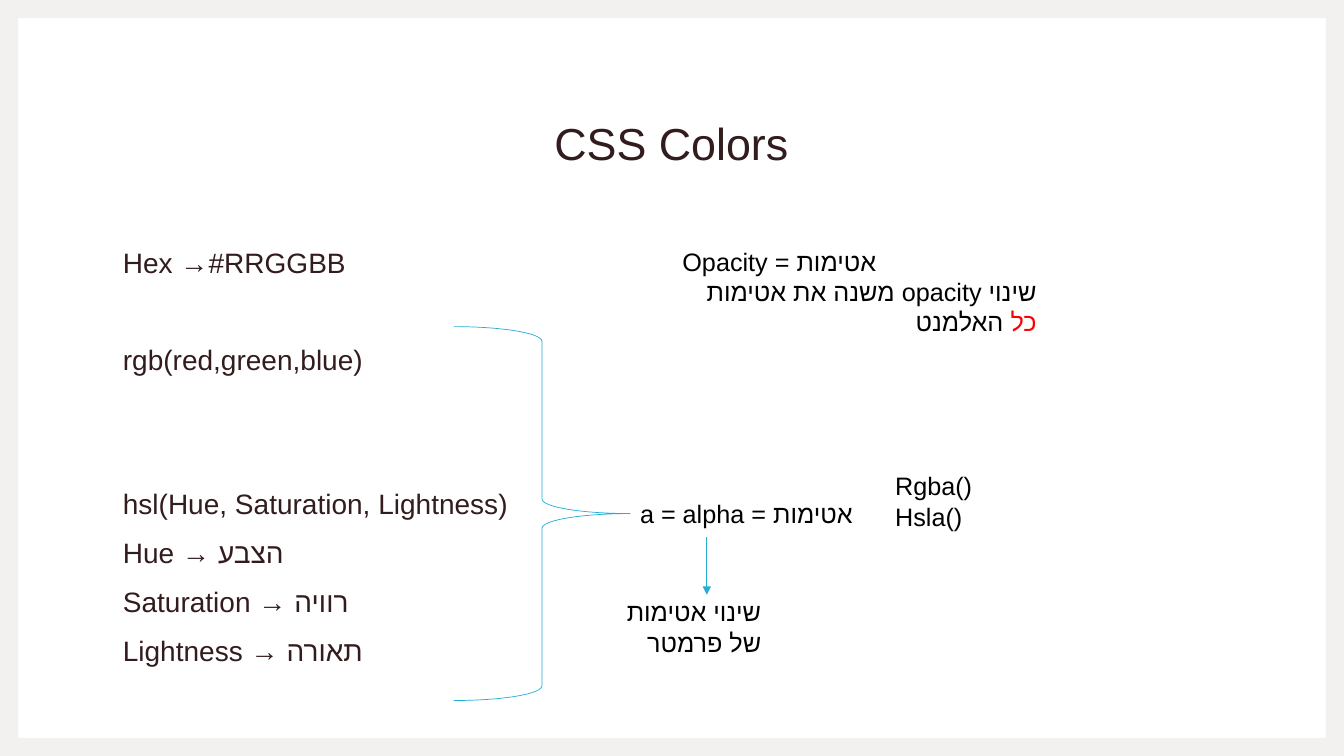
from pptx import Presentation, util as u
from pptx.dml.color import RGBColor
from pptx.enum import shapes, text
from pptx.oxml.ns import qn
from lxml import etree

THEME = {
    "font": "Arial", "title": 32, "body": 20, "note": 18, "line": 0.5,
    "frame": RGBColor.from_string("F3F1F0"),
    "dark": RGBColor.from_string("321C1D"),
    "black": RGBColor.from_string("000000"),
    "red": RGBColor.from_string("FF0000"),
    "accent": RGBColor.from_string("25AED2"),
}
WIDTH, HEIGHT = 13.33, 7.5


def style(p, size, color, rtl=False):
    p.font.name = THEME["font"]
    p.font.size = u.Pt(THEME[size])
    p.font.color.rgb = THEME[color]
    pPr = p._p.get_or_add_pPr()
    cs = etree.SubElement(pPr.find(qn("a:defRPr")), qn("a:cs"))
    cs.set("typeface", THEME["font"])
    if rtl:
        p.alignment = text.PP_ALIGN.RIGHT
        pPr.set("rtl", "1")


def add_text(left, top, width, height, right_inset, lines, size, color):
    sp = s.shapes.add_textbox(*map(u.Inches, (left, top, width, height)))
    tf = sp.text_frame
    tf.word_wrap = True
    tf.margin_right = u.Inches(right_inset)
    for i, (line, rtl) in enumerate(lines):
        p = tf.add_paragraph() if i else tf.paragraphs[0]
        for words, run_color in line:
            r = p.add_run()
            r.text = words
            if run_color:
                r.font.color.rgb = THEME[run_color]
        style(p, size, color, rtl)
    return tf


prs = Presentation()
prs.slide_width, prs.slide_height = u.Inches(WIDTH), u.Inches(HEIGHT)
s = prs.slides.add_slide(prs.slide_layouts[5])

frame = s.shapes.add_shape(shapes.MSO_SHAPE.FRAME, 0, 0, prs.slide_width, prs.slide_height)
frame.adjustments[0] = 0.18 / HEIGHT
frame.shadow.inherit = False
frame.fill.solid()
frame.fill.fore_color.rgb = THEME["frame"]
frame.line.fill.background()
s.shapes._spTree.insert(2, frame._element)

title = s.shapes.title
title.left, title.top, title.width, title.height = map(u.Inches, (1.12, 0.79, 11.08, 0.94))
tf = title.text_frame
tf.text = "CSS Colors"
tf.vertical_anchor = text.MSO_ANCHOR.BOTTOM
p = tf.paragraphs[0]
p.alignment = text.PP_ALIGN.CENTER
p.line_spacing = 1.1
style(p, "title", "dark")

GAP, ROW = 11, 34
formats = [
    ("Hex →#RRGGBB", 0),
    ("rgb(red,green,blue)", 1),
    ("hsl(Hue, Saturation, Lightness)", 2),
    ("Hue → הצבע", 0),
    ("Saturation → רוויה", 0),
    ("Lightness → תאורה", 0),
]
lines = [([(words, None)], False) for words, _ in formats]
tf = add_text(1.12, 2.39, 11.08, 4.34, 0.1, lines, "body", "dark")
for p, (_, skipped) in list(zip(tf.paragraphs, formats))[1:]:
    p.space_before = u.Pt(GAP + ROW * skipped)

brace = s.shapes.add_shape(shapes.MSO_SHAPE.RIGHT_BRACE, *map(u.Inches, (4.5, 3.24, 1.75, 3.71)))
brace.shadow.inherit = False
brace.fill.background()

notes = [
    (6.25, 4.89, 2.27, 0.4, 0, [([("a = alpha = אטימות", None)], False)]),
    (8.78, 4.62, 0.97, 0.71, 0, [([("Rgba()", None)], False), ([("Hsla()", None)], False)]),
    (6.67, 2.39, 4.52, 0.71, 0.91, [
        ([("Opacity = אטימות", None)], False),
        ([("שינוי opacity משנה את אטימות ", None), ("כל", "red"), (" האלמנט", None)], True),
    ]),
    (5.78, 5.87, 2.59, 0.4, 0.82, [([("שינוי אטימות של פרמטר", None)], True)]),
]
for note in notes:
    add_text(*note, "note", "black")

arrow = s.shapes.add_connector(shapes.MSO_CONNECTOR.STRAIGHT, *map(u.Inches, (7.01, 5.33, 7.01, 5.9)))
for sp in (brace, arrow):
    sp.line.color.rgb = THEME["accent"]
    sp.line.width = u.Pt(THEME["line"])
etree.SubElement(arrow.line._get_or_add_ln(), qn("a:tailEnd")).set("type", "triangle")
etree.SubElement(arrow._element.spPr, qn("a:effectLst"))

prs.save("out.pptx")
